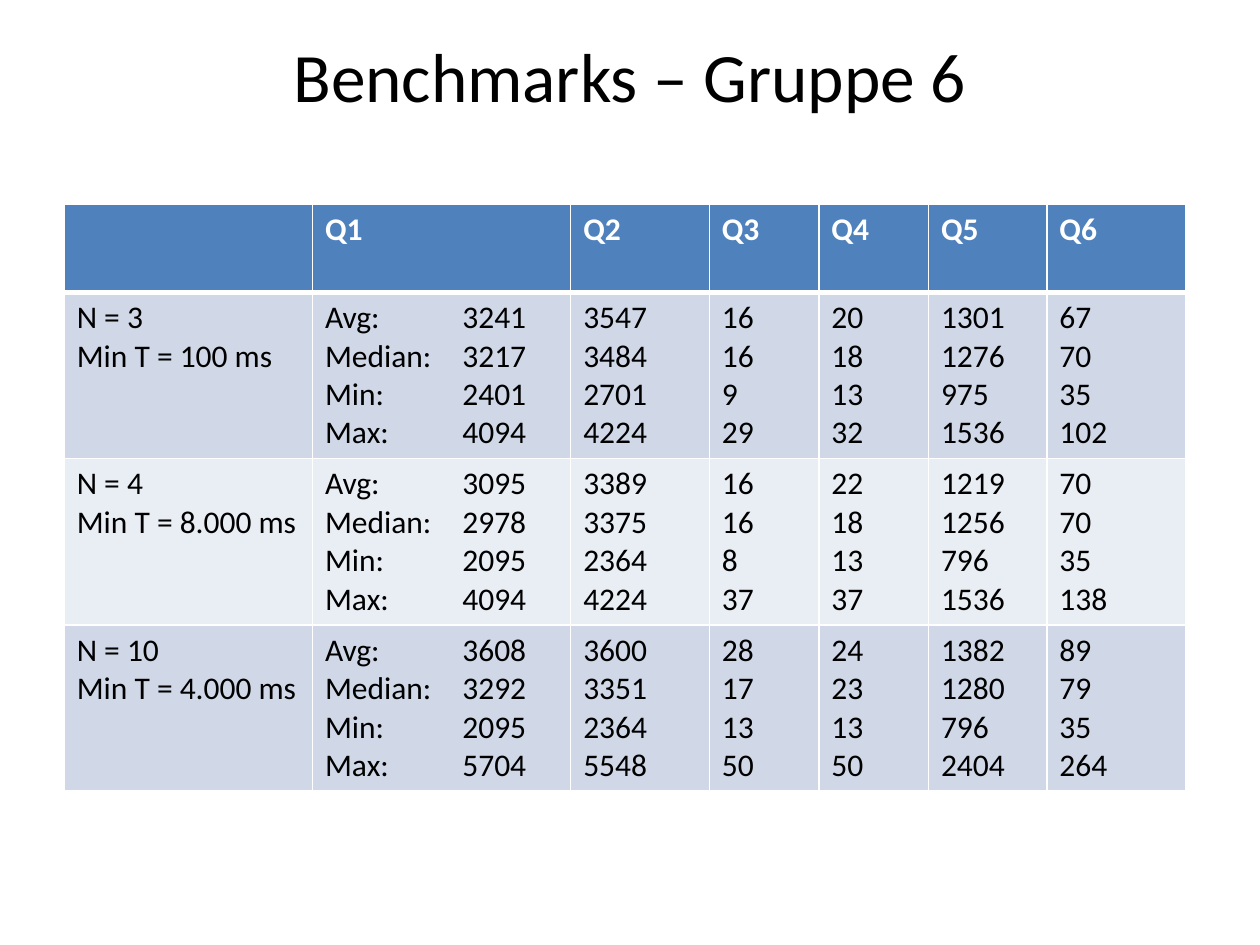
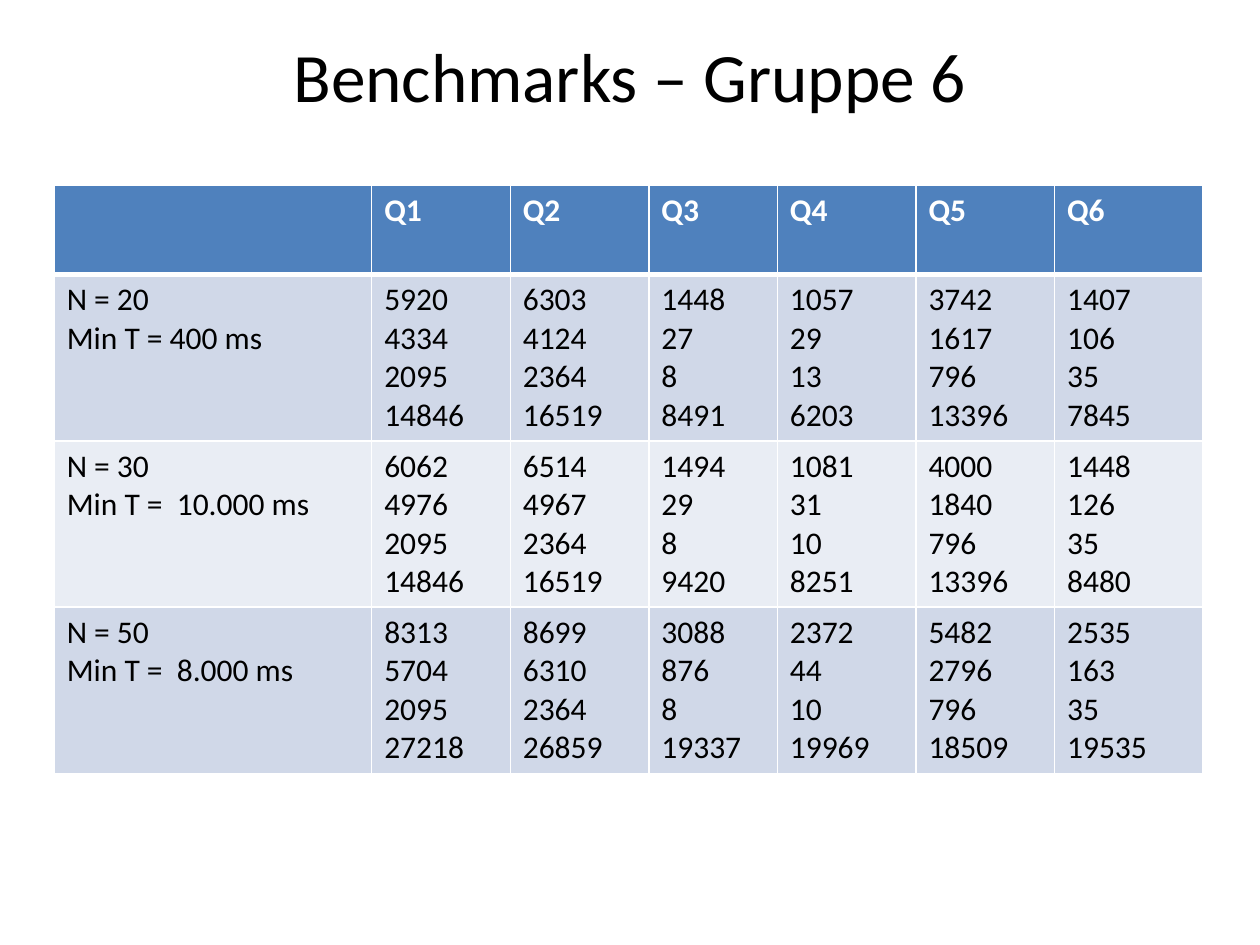
import pptx
import pptx.util
import pptx.dml.color
import pptx.enum.text
import lxml.etree

Inches = pptx.util.Inches
Pt = pptx.util.Pt
MSO_ANCHOR = pptx.enum.text.MSO_ANCHOR
PP_ALIGN = pptx.enum.text.PP_ALIGN
RGBColor = pptx.dml.color.RGBColor
NS = "http://schemas.openxmlformats.org/drawingml/2006/main"

COLORS = {"text": "000000", "white": "FFFFFF", "header": "4F81BD",
          "band_dark": "D0D8E8", "band_light": "E9EDF4"}
FONT = "Calibri"
TITLE = "Benchmarks – Gruppe 6"
HEADERS = ["", "Q1", "Q2", "Q3", "Q4", "Q5", "Q6"]
STATS = ["Avg:", "Median:", "Min:", "Max:"]
ROW_H = 1.32
TAB_STOP = 1.09


def write_text(tf, text, size=18, color="text", bold=False, align=None, tab=None):
    """Write one paragraph per line of text, with an optional tab stop in inches."""
    for i, line in enumerate(text.split("\n")):
        p = tf.paragraphs[0] if i == 0 else tf.add_paragraph()
        p.alignment = align
        p.font.size = Pt(size)
        if tab:
            tabs = lxml.etree.Element(f"{{{NS}}}tabLst")
            lxml.etree.SubElement(tabs, f"{{{NS}}}tab", pos=str(Inches(tab)), algn="l")
            p._p.get_or_add_pPr().insert(0, tabs)
        r = p.add_run()
        r.text = line
        r.font.name = FONT
        r.font.size = Pt(size)
        r.font.bold = bold
        r.font.color.rgb = RGBColor.from_string(COLORS[color])


def add_borders(cell, top, bottom):
    """Give a cell white borders; widths in points."""
    tcPr = cell._tc.get_or_add_tcPr()
    for side, width in (("L", 1), ("R", 1), ("T", top), ("B", bottom)):
        ln = lxml.etree.SubElement(tcPr, f"{{{NS}}}ln{side}", w=str(Pt(width)))
        fill = lxml.etree.SubElement(ln, f"{{{NS}}}solidFill")
        lxml.etree.SubElement(fill, f"{{{NS}}}srgbClr", val=COLORS["white"])


# Each row: label, then the average, median, minimum and maximum for Q1 to Q6
SLIDES = [
    {"left": 0.51, "top": 1.62, "header_h": 0.7, "stat_labels": True,
     "cols": [1.97, 2.05, 1.1, 0.87, 0.87, 0.94, 1.1],
     "rows": [
         ("N = 3\nMin T = 100 ms",
          [(3241, 3217, 2401, 4094), (3547, 3484, 2701, 4224), (16, 16, 9, 29),
           (20, 18, 13, 32), (1301, 1276, 975, 1536), (67, 70, 35, 102)]),
         ("N = 4\nMin T = 8.000 ms",
          [(3095, 2978, 2095, 4094), (3389, 3375, 2364, 4224), (16, 16, 8, 37),
           (22, 18, 13, 37), (1219, 1256, 796, 1536), (70, 70, 35, 138)]),
         ("N = 10\nMin T = 4.000 ms",
          [(3608, 3292, 2095, 5704), (3600, 3351, 2364, 5548), (28, 17, 13, 50),
           (24, 23, 13, 50), (1382, 1280, 796, 2404), (89, 79, 35, 264)]),
     ]},
    {"left": 0.43, "top": 1.47, "header_h": 0.71, "stat_labels": False,
     "cols": [2.52, 1.1, 1.1, 1.02, 1.1, 1.1, 1.18],
     "rows": [
         ("N = 20\nMin T = 400 ms",
          [(5920, 4334, 2095, 14846), (6303, 4124, 2364, 16519), (1448, 27, 8, 8491),
           (1057, 29, 13, 6203), (3742, 1617, 796, 13396), (1407, 106, 35, 7845)]),
         ("N = 30\nMin T =  10.000 ms",
          [(6062, 4976, 2095, 14846), (6514, 4967, 2364, 16519), (1494, 29, 8, 9420),
           (1081, 31, 10, 8251), (4000, 1840, 796, 13396), (1448, 126, 35, 8480)]),
         ("N = 50\nMin T =  8.000 ms",
          [(8313, 5704, 2095, 27218), (8699, 6310, 2364, 26859), (3088, 876, 8, 19337),
           (2372, 44, 10, 19969), (5482, 2796, 796, 18509), (2535, 163, 35, 19535)]),
     ]},
]

prs = pptx.Presentation()
prs.slide_width = Inches(10)
prs.slide_height = Inches(7.5)

for data in SLIDES:
    s = prs.slides.add_slide(prs.slide_layouts[6])

    # Title
    sp = s.shapes.add_textbox(Inches(0.75), Inches(0.36), Inches(8.5), Inches(0.47))
    tf = sp.text_frame
    tf.word_wrap = True
    tf.vertical_anchor = MSO_ANCHOR.MIDDLE
    write_text(tf, TITLE, size=39.6, align=PP_ALIGN.CENTER)

    # Table grid
    heights = [data["header_h"]] + [ROW_H] * len(data["rows"])
    table = s.shapes.add_table(
        len(heights), len(HEADERS), Inches(data["left"]), Inches(data["top"]),
        Inches(sum(data["cols"])), Inches(sum(heights))).table
    for column, width in zip(table.columns, data["cols"]):
        column.width = Inches(width)
    for row, height in zip(table.rows, heights):
        row.height = Inches(height)

    # Cell texts
    grid = [HEADERS]
    for label, results in data["rows"]:
        texts = ["\n".join(str(v) for v in values) for values in results]
        if data["stat_labels"]:
            texts[0] = "\n".join(f"{n}\t{v}" for n, v in zip(STATS, results[0]))
        grid.append([label] + texts)

    # Cells: header row, then alternating bands
    for i, texts in enumerate(grid):
        header = i == 0
        fill = "header" if header else ("band_light", "band_dark")[i % 2]
        for j, text in enumerate(texts):
            cell = table.cell(i, j)
            add_borders(cell, top=3 if i == 1 else 1, bottom=3 if header else 1)
            cell.fill.solid()
            cell.fill.fore_color.rgb = RGBColor.from_string(COLORS[fill])
            write_text(cell.text_frame, text, bold=header,
                       color="white" if header else "text",
                       tab=TAB_STOP if "\t" in text else None)

prs.save("out.pptx")
